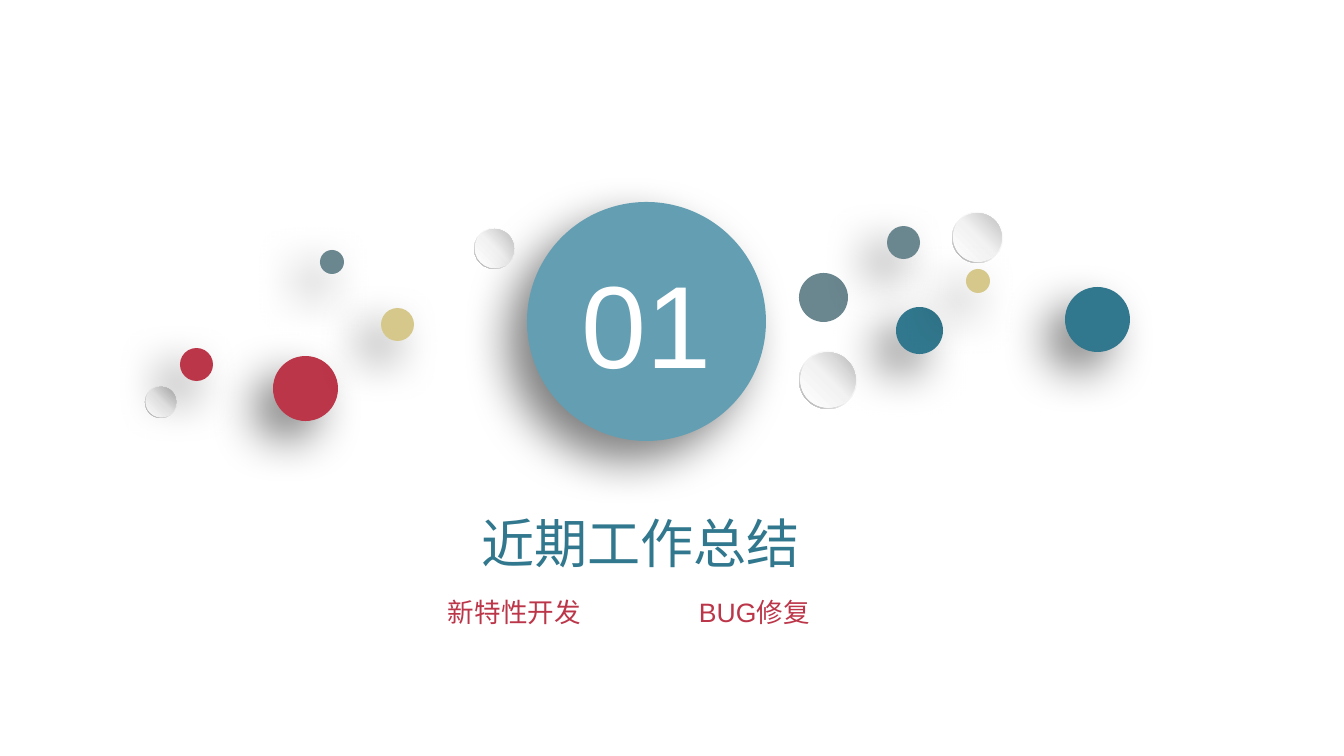
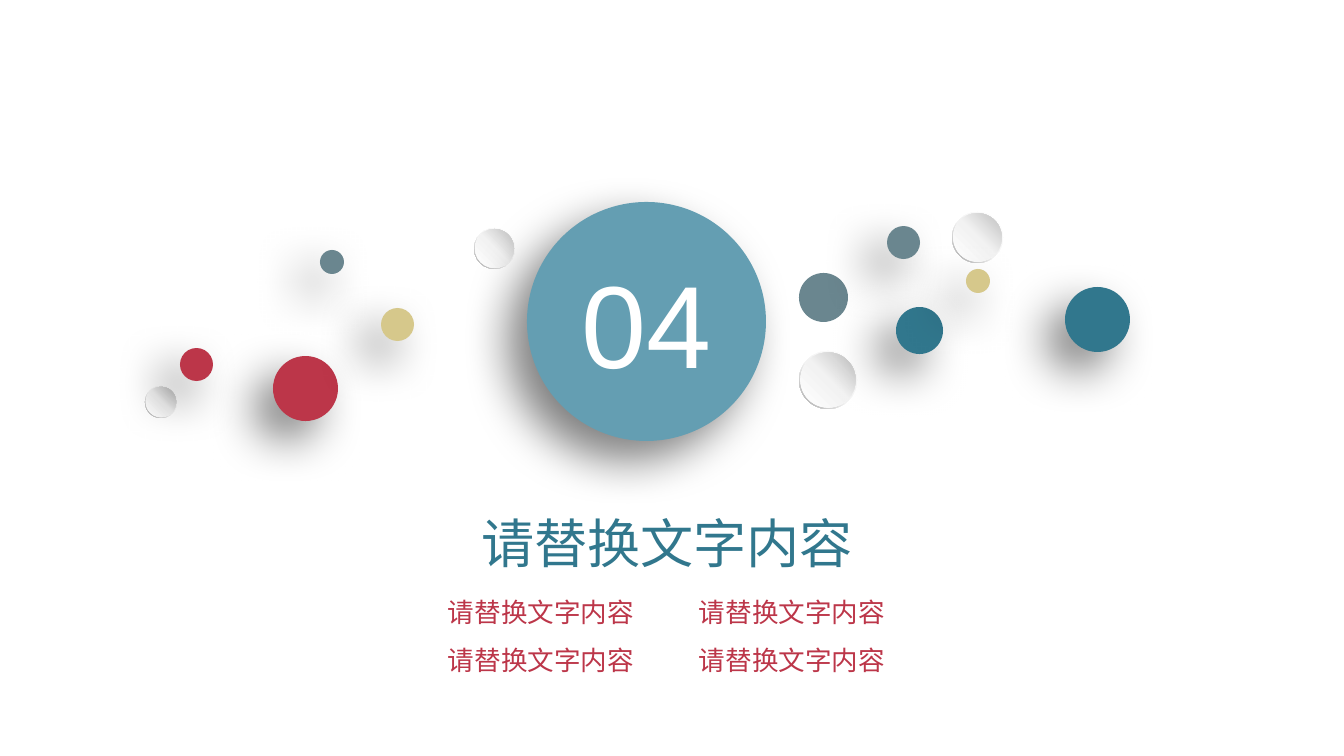
from lxml.etree import SubElement
from pptx import Presentation
from pptx.dml.color import RGBColor
from pptx.enum.shapes import MSO_SHAPE as SHAPE
from pptx.enum.text import MSO_ANCHOR as ANCHOR, MSO_AUTO_SIZE as AUTO, PP_ALIGN as ALIGN
from pptx.oxml.ns import qn
from pptx.util import Pt

PX = 914400 / 95.6  # EMU per pixel
FONT = "Arial"
WHITE = RGBColor(0xFF, 0xFF, 0xFF)
PALE = RGBColor(0xF2, 0xF2, 0xF2)
SILVER = RGBColor(0xBF, 0xBF, 0xBF)
GREY = RGBColor(0xA6, 0xA6, 0xA6)
RED = RGBColor(0xBC, 0x36, 0x49)
TEAL = RGBColor(0x31, 0x77, 0x8D)
SLATE = RGBColor(0x6A, 0x86, 0x8F)
SAND = RGBColor(0xD6, 0xC8, 0x8B)
BLUE = RGBColor(0x64, 0x9E, 0xB2)

# Gradients: stops in percent, counterclockwise angle
RIM = ([(0, WHITE), (55, PALE), (100, GREY)], 225)
SHEEN = ([(0, WHITE), (51, PALE), (100, SILVER)], 45)

# Balls: left, top, size, rim fill, face fill, rim shape
DISC, RING = SHAPE.OVAL, SHAPE.DONUT
BALLS = [
    (273, 356, 65, RED, RED, DISC),
    (1065, 287, 65, TEAL, TEAL, DISC),
    (799, 273, 49, SLATE, SLATE, RING),
    (799, 351, 58, RIM, SHEEN, RING),
    (474, 228, 41, RIM, SHEEN, RING),
    (952, 212, 51, RIM, SHEEN, RING),
    (145, 386, 32, RIM, SHEEN, RING),
    (381, 308, 33, SAND, SAND, DISC),
    (180, 348, 33, RED, RED, DISC),
    (887, 226, 33, SLATE, SLATE, DISC),
    (320, 250, 24, SLATE, SLATE, DISC),
    (896, 307, 47, TEAL, TEAL, DISC),
    (966, 269, 24, SAND, SAND, DISC),
    (527, 202, 239, BLUE, BLUE, DISC),  # holds the section number
]
INSET = 0.024  # gap between rim and face, as a share of the ball size

# Sections: number, title, title width, rows of topics
SECTIONS = [
    ("01", "近期工作总结", 341, [("新特性开发", "BUG修复")]),
    ("04", "请替换文字内容", 395, [("请替换文字内容",) * 2] * 2),
]


def write(sp, text, size, color, align=ALIGN.LEFT, anchor=ANCHOR.TOP,
          spacing=1.0, margin=None, fit=AUTO.NONE, wrap=True):
    tf = sp.text_frame
    tf.word_wrap, tf.auto_size, tf.vertical_anchor = wrap, fit, anchor
    if margin is not None:
        tf.margin_left = tf.margin_top = tf.margin_right = tf.margin_bottom = margin
    p = tf.paragraphs[0]
    p.alignment, p.line_spacing = align, spacing
    r = p.add_run()
    r.text = text
    r.font.name, r.font.size, r.font.color.rgb = FONT, Pt(size), color


def add_round(group, kind, x, y, size, fill, shadow=False):
    sp = group.shapes.add_shape(kind, *(round(v * PX) for v in (x, y, size, size)))
    sp.line.fill.background()
    sp.shadow.inherit = False
    if kind == RING:
        sp.adjustments[0] = 0.049
    if isinstance(fill, RGBColor):
        sp.fill.solid()
        sp.fill.fore_color.rgb = fill
    else:
        stops, angle = fill
        sp.fill.gradient()
        sp.fill.gradient_angle = angle
        gs_list = next(sp._element.iter(qn("a:gsLst")))
        gs_list.clear()
        for pos, color in stops:
            gs = SubElement(gs_list, qn("a:gs"), pos=str(pos * 1000))
            SubElement(gs, qn("a:srgbClr"), val=str(color))
    if shadow:
        effects = next(sp._element.iter(qn("a:effectLst")))
        outer = SubElement(effects, qn("a:outerShdw"), blurRad=str(Pt(35)),
                           dist=str(Pt(20)), dir=str(135 * 60000),
                           algn="tr", rotWithShape="0")
        black = SubElement(outer, qn("a:srgbClr"), val="000000")
        SubElement(black, qn("a:alpha"), val="50000")
    return sp


prs = Presentation()
prs.slide_width, prs.slide_height = round(1344 * PX), round(756 * PX)

for number, heading, width, rows in SECTIONS:
    s = prs.slides.add_slide(prs.slide_layouts[5])

    # Balls, the last one with the number
    for x, y, size, rim, face, kind in BALLS:
        group = s.shapes.add_group_shape()
        add_round(group, kind, x, y, size, rim, shadow=kind == DISC)
        gap = size * INSET
        sp = add_round(group, DISC, x + gap, y + gap, size - 2 * gap, face)
    write(sp, number, 88, WHITE, align=ALIGN.CENTER, anchor=ANCHOR.MIDDLE)

    # Title
    title = s.shapes.title
    title.left, title.top, title.width, title.height = (
        round(v * PX) for v in (472, 493, width, 80))
    write(title, heading, 40, TEAL, spacing=1.2, fit=AUTO.SHAPE_TO_FIT_TEXT, wrap=False)

    # Topics in two columns
    for i, row in enumerate(rows):
        for j, topic in enumerate(row):
            box = s.shapes.add_textbox(
                *(round(v * PX) for v in (448 + 251 * j, 590 + 48 * i, 203, 35)))
            write(box, topic, 20, RED, spacing=1.2, margin=0, fit=AUTO.SHAPE_TO_FIT_TEXT)

prs.save("out.pptx")
